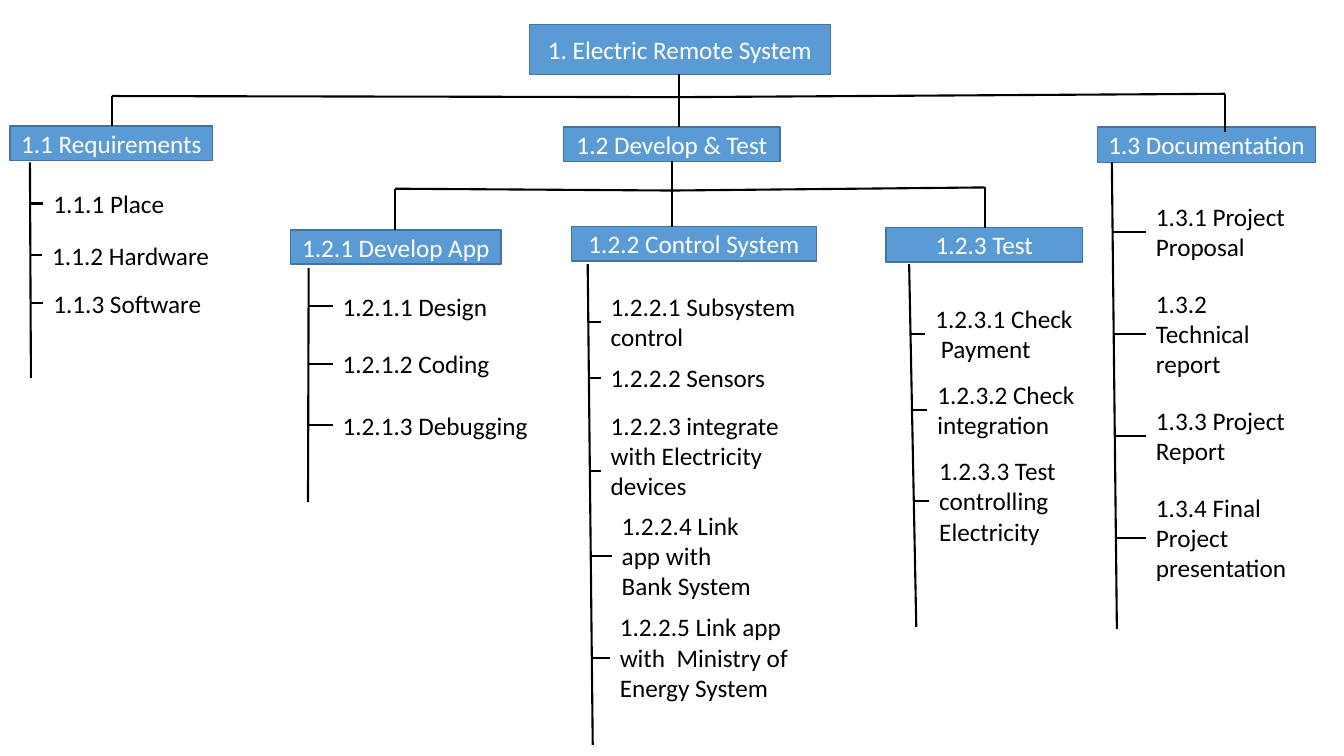
from dataclasses import dataclass

from pptx import Presentation
from pptx.dml.color import RGBColor
from pptx.enum.shapes import MSO_CONNECTOR, MSO_SHAPE
from pptx.enum.text import MSO_ANCHOR, MSO_AUTO_SIZE, PP_ALIGN
from pptx.oxml.ns import qn
from pptx.util import Pt
from lxml.etree import SubElement


@dataclass(frozen=True)
class Theme:
    fill: RGBColor = RGBColor(0x5B, 0x9B, 0xD5)
    border: RGBColor = RGBColor(0x43, 0x73, 0x9E)
    node_text: RGBColor = RGBColor(0xFF, 0xFF, 0xFF)
    item_text: RGBColor = RGBColor(0, 0, 0)
    link: RGBColor = RGBColor(0, 0, 0)
    font: str = "Calibri"
    size: float = 18
    border_width: float = 1
    link_width: float = 1.5


@dataclass(frozen=True)
class Node:
    text: str
    left: float
    top: float
    width: float
    height: float = 24.5


@dataclass(frozen=True)
class Item:
    text: str
    left: float
    top: float
    width: float
    height: float


@dataclass(frozen=True)
class Branch:
    node: Node
    spine: tuple[float, float, float, float]
    items: tuple[Item, ...]


@dataclass(frozen=True)
class Arm:
    x: float
    top: float
    bottom: float


@dataclass(frozen=True)
class Fork:
    x: float
    top: float
    bottom: float
    bus: float
    arms: tuple[Arm, ...]


THEME = Theme()
ONE_LINE, TWO_LINES, THREE_LINES = 28.8, 51.1, 72.7  # item heights

ROOT = Node("1. Electric Remote System", 378, 17.3, 215.3, 36)
DEVELOP = Node("1.2 Develop & Test", 402.5, 90.7, 154.8)

BRANCHES = (
    Branch(Node("1.1 Requirements", 7.2, 90, 144.7), (21.4, 116, 22.1, 270), (
        Item("1.1.1 Place", 31, 131, 97.2, ONE_LINE),
        Item("1.1.2 Hardware", 30.2, 167.8, 126.7, ONE_LINE),
        Item("1.1.3 Software", 31, 202.3, 126.7, ONE_LINE))),
    Branch(Node("1.2.1 Develop App", 207.4, 164.2, 150.5), (220.5, 191.5, 220, 358.6), (
        Item("1.2.1.1 Design", 237.6, 204.5, 121, ONE_LINE),
        Item("1.2.1.2 Coding", 237.6, 245.5, 121, ONE_LINE),
        Item("1.2.1.3 Debugging", 237.6, 289.4, 151.2, ONE_LINE))),
    Branch(Node("1.2.2 Control System", 408.2, 162, 175), (419.8, 188.6, 423.4, 532), (
        Item("1.2.2.1 Subsystem control", 429.1, 204.5, 153.4, TWO_LINES),
        Item("1.2.2.2 Sensors", 429.1, 254.9, 149.8, 30.2),
        Item("1.2.2.3 integrate with Electricity devices", 429.1, 289.4, 149.8, 94.3),
        Item("1.2.2.4 Link app with Bank System", 437, 360.7, 108.7, THREE_LINES),
        Item("1.2.2.5 Link app with  Ministry of Energy System",
             435.6, 433.4, 135.4, THREE_LINES))),
    Branch(Node("1.2.3 Test", 632.9, 162.7, 140.4), (649.4, 188.6, 654.5, 447.8), (
        Item("1.2.3.1 Check\n Payment", 661, 213.1, 121, TWO_LINES),
        Item("1.2.3.2 Check integration", 662.4, 267.1, 121.7, TWO_LINES),
        Item("1.2.3.3 Test controlling Electricity", 663.8, 321.8, 109.4, THREE_LINES))),
    Branch(Node("1.3 Documentation", 784.1, 90.7, 155.5, 25.2), (794.2, 116, 797.8, 449.3), (
        Item("1.3.1 Project Proposal", 818.6, 140.4, 110.9, TWO_LINES),
        Item("1.3.2 Technical report", 818.6, 202.3, 113, THREE_LINES),
        Item("1.3.3 Project Report", 818.6, 285.8, 122.4, TWO_LINES),
        Item("1.3.4 Final Project presentation", 818.6, 347.8, 135.4, THREE_LINES))),
)

FORKS = (
    Fork(485.3, 52.6, 90.7, 69.4, (Arm(79.9, 68.6, 90), Arm(875, 67, 94.3))),
    Fork(480.2, 115.2, 162, 136.1,
         (Arm(282.2, 134.8, 164.2), Arm(703.4, 133.9, 162.7))),
)


def write(s, text: str, color: RGBColor, align: PP_ALIGN) -> None:
    tf = s.text_frame
    tf.word_wrap = True
    tf.text = text
    for p in tf.paragraphs:
        p.alignment = align
        p.font.name = THEME.font
        p.font.size = Pt(THEME.size)
        p.font.color.rgb = color


def format_node(s, node: Node) -> None:
    s.left, s.top = Pt(node.left), Pt(node.top)
    s.width, s.height = Pt(node.width), Pt(node.height)
    s.fill.solid()
    s.fill.fore_color.rgb = THEME.fill
    s.line.color.rgb = THEME.border
    s.line.width = Pt(THEME.border_width)
    write(s, node.text, THEME.node_text, PP_ALIGN.CENTER)
    tf = s.text_frame
    tf.auto_size = MSO_AUTO_SIZE.NONE
    tf.vertical_anchor = MSO_ANCHOR.MIDDLE
    tf.margin_left = tf.margin_right = 0


def add_node(slide, node: Node) -> None:
    s = slide.shapes.add_shape(MSO_SHAPE.RECTANGLE, 0, 0, Pt(1), Pt(1))
    s.shadow.inherit = False
    format_node(s, node)


def add_link(slide, x1: float, y1: float, x2: float, y2: float) -> None:
    c = slide.shapes.add_connector(
        MSO_CONNECTOR.STRAIGHT, Pt(x1), Pt(y1), Pt(x2), Pt(y2))
    c.line.color.rgb = THEME.link
    c.line.width = Pt(THEME.link_width)
    SubElement(c._element.spPr, qn("a:effectLst"))


def add_item(slide, item: Item) -> None:
    s = slide.shapes.add_textbox(
        Pt(item.left), Pt(item.top), Pt(item.width), Pt(item.height))
    write(s, item.text, THEME.item_text, PP_ALIGN.LEFT)


def add_branch(slide, branch: Branch) -> None:
    add_node(slide, branch.node)
    add_link(slide, *branch.spine)
    x1, y1, x2, y2 = branch.spine
    for item in branch.items:
        add_item(slide, item)
        # Each tick runs from the leaning spine to the middle of its item
        y = item.top + item.height / 2
        add_link(slide, x1 + (x2 - x1) * (y - y1) / (y2 - y1), y, item.left, y)


def add_fork(slide, fork: Fork) -> None:
    add_link(slide, fork.x, fork.top, fork.x, fork.bottom)
    for arm in fork.arms:
        add_link(slide, fork.x, fork.bus, arm.x, arm.top)
        add_link(slide, arm.x, arm.top, arm.x, arm.bottom)


prs = Presentation()
prs.slide_width, prs.slide_height = Pt(960), Pt(540)
slide = prs.slides.add_slide(prs.slide_layouts[5])

# Root and second level
format_node(slide.shapes.title, ROOT)
add_node(slide, DEVELOP)

# Branches with their items
for branch in BRANCHES:
    add_branch(slide, branch)

# Links between levels
for fork in FORKS:
    add_fork(slide, fork)

prs.save("out.pptx")
